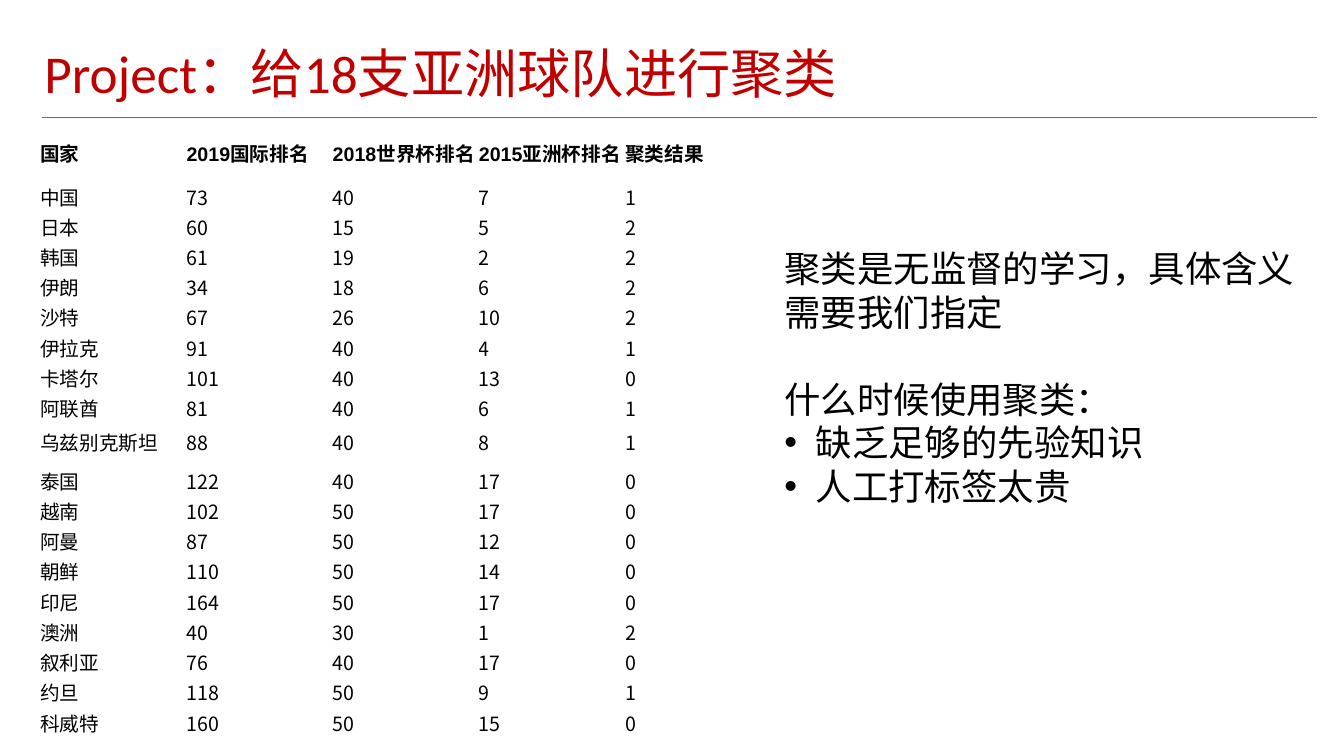
from dataclasses import dataclass

from lxml.etree import SubElement
from pptx import Presentation
from pptx.dml.color import RGBColor as RGB
from pptx.enum.shapes import MSO_CONNECTOR as CONN
from pptx.enum.text import MSO_ANCHOR as ANCHOR, MSO_AUTO_SIZE as AUTO, PP_ALIGN as ALIGN
from pptx.oxml.ns import qn
from pptx.util import Inches, Pt

COLORS = {"title": "C00000", "text": "000000", "rule": "3F6FC3"}
CJK = "Noto Sans CJK SC"


@dataclass
class Team:
    country: str
    fifa_2019: int
    world_cup_2018: int
    asian_cup_2015: int
    cluster: int
    height: float = 0.3

    def texts(self) -> list[str]:
        return [self.country, str(self.fifa_2019), str(self.world_cup_2018),
                str(self.asian_cup_2015), str(self.cluster)]


@dataclass
class Note:
    text: str
    bullet: bool = False
    before: float = 0


HEADERS = ["国家", "2019国际排名", "2018世界杯排名", "2015亚洲杯排名", "聚类结果"]
HEADER_HEIGHT = 0.42
COLUMN_WIDTH = 1.45

TEAMS = [
    Team("中国", 73, 40, 7, 1),
    Team("日本", 60, 15, 5, 2),
    Team("韩国", 61, 19, 2, 2),
    Team("伊朗", 34, 18, 6, 2),
    Team("沙特", 67, 26, 10, 2),
    Team("伊拉克", 91, 40, 4, 1),
    Team("卡塔尔", 101, 40, 13, 0),
    Team("阿联酋", 81, 40, 6, 1),
    Team("乌兹别克斯坦", 88, 40, 8, 1, height=0.42),
    Team("泰国", 122, 40, 17, 0),
    Team("越南", 102, 50, 17, 0),
    Team("阿曼", 87, 50, 12, 0),
    Team("朝鲜", 110, 50, 14, 0),
    Team("印尼", 164, 50, 17, 0),
    Team("澳洲", 40, 30, 1, 2),
    Team("叙利亚", 76, 40, 17, 0),
    Team("约旦", 118, 50, 9, 1),
    Team("科威特", 160, 50, 15, 0),
]

NOTES = [
    Note("聚类是无监督的学习，具体含义需要我们指定"),
    Note("什么时候使用聚类：", before=31),
    Note("缺乏足够的先验知识", bullet=True),
    Note("人工打标签太贵", bullet=True),
]


def style(p, size: float, font: str, color: str, bold: bool = False) -> None:
    p.alignment = ALIGN.LEFT
    f = p.font
    f.size, f.name, f.bold = Pt(size), font, bold
    f.color.rgb = RGB.from_string(COLORS[color])
    props = p._p.get_or_add_pPr().find(qn("a:defRPr"))
    SubElement(props, qn("a:ea")).set("typeface", CJK)


def place(sp, left: float, top: float, width: float, height: float) -> None:
    sp.left, sp.top = Inches(left), Inches(top)
    sp.width, sp.height = Inches(width), Inches(height)
    tf = sp.text_frame
    tf.margin_left = tf.margin_right = Inches(0.05)
    tf.margin_top = tf.margin_bottom = Inches(0.05)
    tf.word_wrap = True


def add_title(s, text: str) -> None:
    sp = s.shapes.title
    place(sp, 0.39, 0.4, 11.13, 0.71)
    tf = sp.text_frame
    tf.auto_size = AUTO.NONE
    tf.vertical_anchor = ANCHOR.MIDDLE
    tf.text = text
    p = tf.paragraphs[0]
    p.line_spacing = 0.9
    style(p, 38, "Calibri", "title")


def add_rule(s) -> None:
    line = s.shapes.add_connector(CONN.STRAIGHT, Inches(0.42), Inches(1.17),
                                  Inches(13.06), Inches(1.17))
    line.line.color.rgb = RGB.from_string(COLORS["rule"])
    line.line.width = Pt(0.75)
    SubElement(line._element.spPr, qn("a:effectLst"))


def add_notes(s, notes: list[Note]) -> None:
    sp = s.placeholders[1]
    place(sp, 7.73, 2.39, 5.2, 2.72)
    tf = sp.text_frame
    tf.auto_size = AUTO.SHAPE_TO_FIT_TEXT
    tf.vertical_anchor = ANCHOR.TOP
    for i, note in enumerate(notes):
        p = tf.paragraphs[0] if i == 0 else tf.add_paragraph()
        p.text = note.text
        p.space_before = Pt(note.before)
        props = p._p.get_or_add_pPr()
        indent = Inches(0.31) if note.bullet else 0
        props.set("marL", str(indent))
        props.set("indent", str(-indent))
        if note.bullet:
            SubElement(props, qn("a:buFont")).set("typeface", "Arial")
            SubElement(props, qn("a:buChar")).set("char", "•")
        else:
            SubElement(props, qn("a:buNone"))
        style(p, 26, "Calibri", "text")


def fill_cell(cell, text: str, font: str, bold: bool) -> None:
    cell.fill.background()
    cell.vertical_anchor = ANCHOR.MIDDLE
    cell.margin_left = cell.margin_top = cell.margin_right = Inches(0.01)
    cell.margin_bottom = Inches(0.05)
    cell.text = text
    style(cell.text_frame.paragraphs[0], 14, font, "text", bold)


def add_ranking(s, teams: list[Team]) -> None:
    rows = [HEADERS] + [team.texts() for team in teams]
    heights = [HEADER_HEIGHT] + [team.height for team in teams]
    table = s.shapes.add_table(len(rows), len(HEADERS), Inches(0.39), Inches(1.27),
                               Inches(COLUMN_WIDTH * len(HEADERS)),
                               Inches(sum(heights))).table
    table.first_row = table.horz_banding = False
    for column in table.columns:
        column.width = Inches(COLUMN_WIDTH)
    for i, (texts, height) in enumerate(zip(rows, heights)):
        table.rows[i].height = Inches(height)
        for j, text in enumerate(texts):
            font = "Arial" if i == 0 or j == 0 else CJK
            fill_cell(table.cell(i, j), text, font, bold=i == 0)


def main() -> None:
    prs = Presentation()
    prs.slide_width, prs.slide_height = Inches(13.33), Inches(7.5)
    s = prs.slides.add_slide(prs.slide_layouts[1])
    # Heading
    add_rule(s)
    add_title(s, "Project：给18支亚洲球队进行聚类")
    # Explanation on the right
    add_notes(s, NOTES)
    # Ranking table on the left
    add_ranking(s, TEAMS)
    prs.save("out.pptx")


if __name__ == "__main__":
    main()
